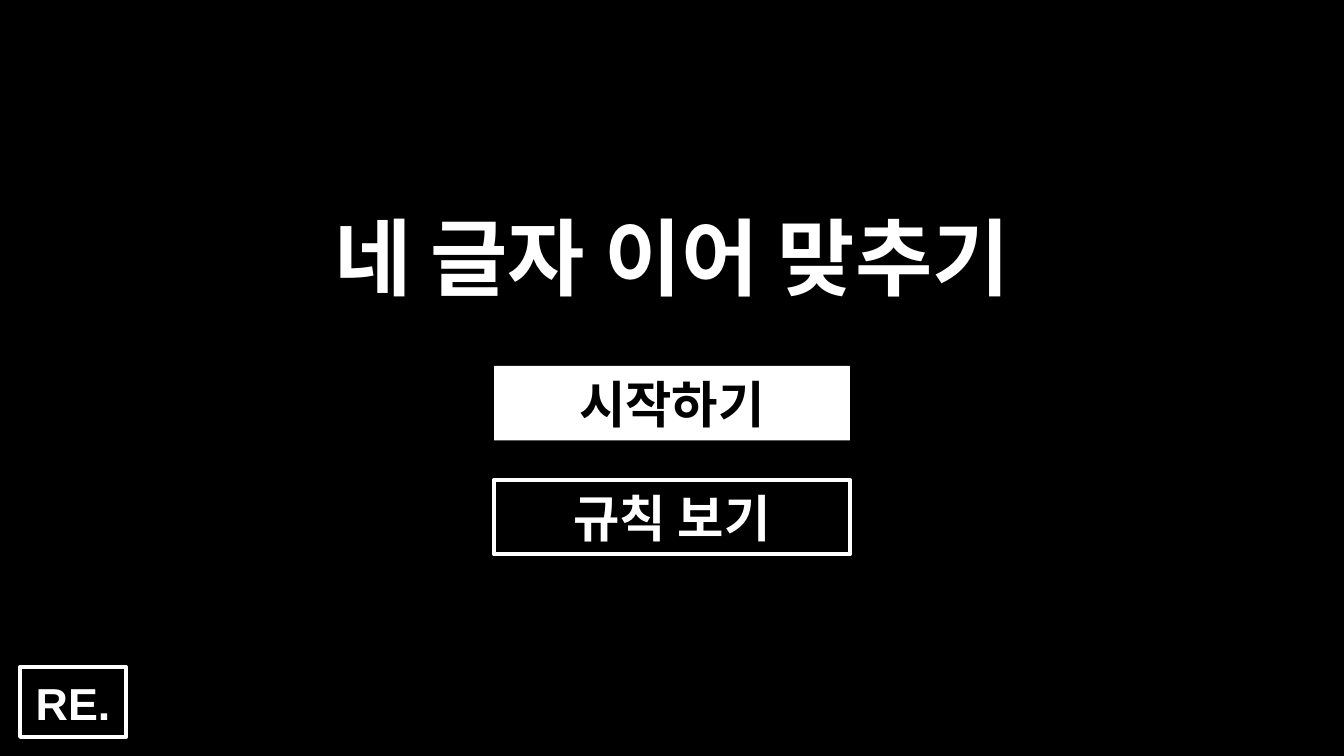
import pptx
import pptx.util
import pptx.dml.color
import pptx.enum.shapes
import pptx.enum.text

Inches = pptx.util.Inches
Pt = pptx.util.Pt
BLACK = pptx.dml.color.RGBColor(0, 0, 0)
WHITE = pptx.dml.color.RGBColor(255, 255, 255)
ANCHOR = pptx.enum.text.MSO_ANCHOR


def write(shape, text, size=36, color=WHITE, anchor=ANCHOR.MIDDLE):
    frame = shape.text_frame
    frame.word_wrap = True
    frame.vertical_anchor = anchor
    line = frame.paragraphs[0]
    line.alignment = pptx.enum.text.PP_ALIGN.CENTER
    run = line.add_run()
    run.text = text
    run.font.name = "Arial"
    run.font.size = Pt(size)
    run.font.bold = True
    run.font.color.rgb = color


deck = pptx.Presentation()
deck.slide_width = Inches(13.33)
deck.slide_height = Inches(7.5)
slide = deck.slides.add_slide(deck.slide_layouts[6])

# Black background
slide.background.fill.solid()
slide.background.fill.fore_color.rgb = BLACK

# Game title
title = slide.shapes.add_textbox(0, Inches(1.99), deck.slide_width, Inches(1.11))
write(title, "네 글자 이어 맞추기", size=60, anchor=ANCHOR.TOP)

# Buttons: start, rules, restart
buttons = [
    ("시작하기", 4.9, 3.63, 3.53, 0.74, 36, WHITE, BLACK),
    ("규칙 보기", 4.9, 4.76, 3.53, 0.74, 36, BLACK, WHITE),
    ("RE.", 0.2, 6.62, 1.05, 0.69, 32, BLACK, WHITE),
]
for text, left, top, width, height, size, fill, color in buttons:
    button = slide.shapes.add_shape(
        pptx.enum.shapes.MSO_SHAPE.RECTANGLE,
        Inches(left), Inches(top), Inches(width), Inches(height))
    button.shadow.inherit = False
    button.fill.solid()
    button.fill.fore_color.rgb = fill
    if fill == BLACK:
        button.line.color.rgb = WHITE
        button.line.width = Pt(3)
    else:
        button.line.fill.background()
    write(button, text, size=size, color=color)

deck.save("out.pptx")
